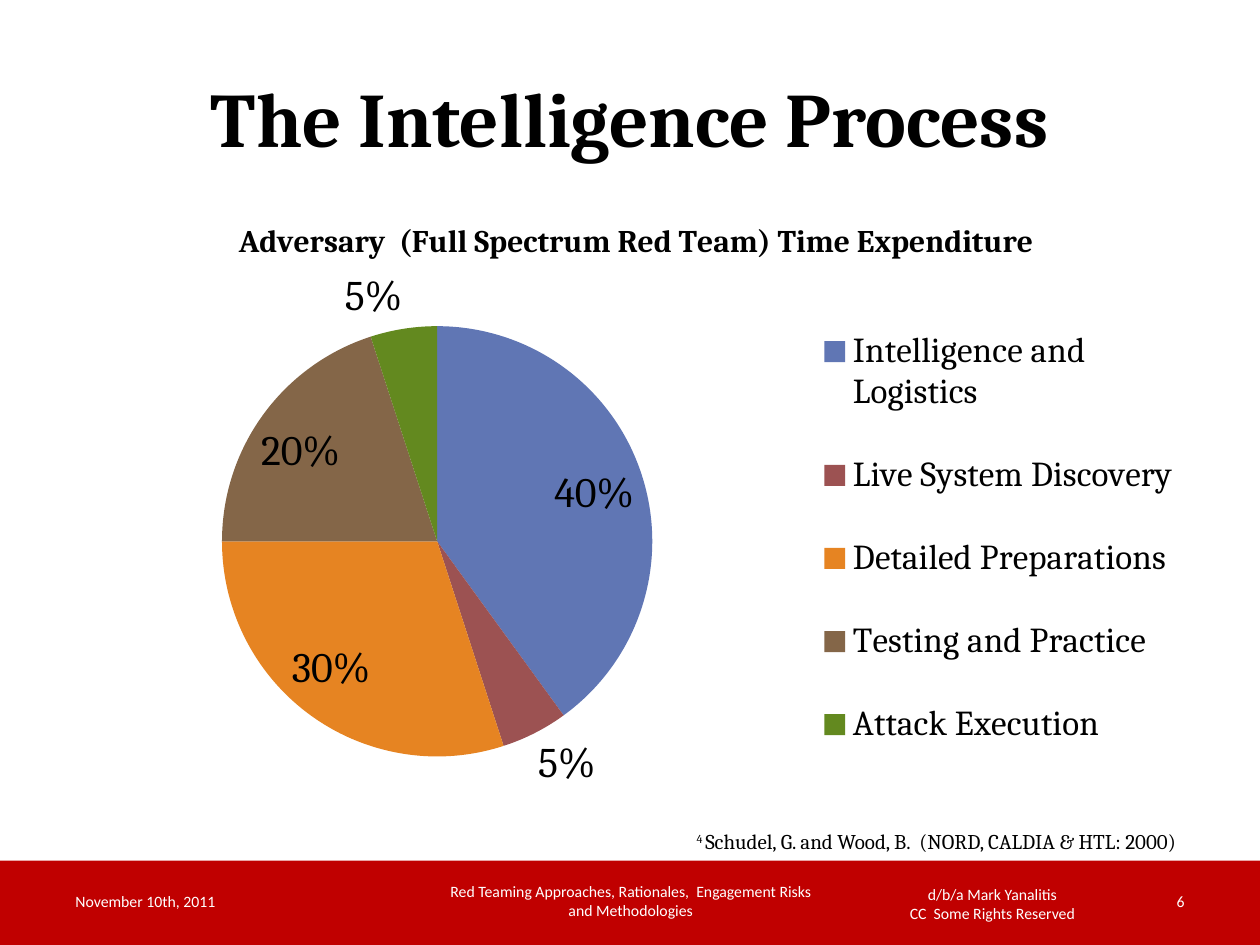
from pptx import Presentation
from pptx.chart.data import CategoryChartData
from pptx.dml.color import RGBColor
from pptx.enum.chart import XL_CHART_TYPE as ChartType
from pptx.enum.chart import XL_LABEL_POSITION as LabelPosition
from pptx.enum.chart import XL_LEGEND_POSITION as LegendPosition
from pptx.enum.shapes import MSO_SHAPE as Shape
from pptx.enum.text import MSO_ANCHOR as Anchor
from pptx.enum.text import PP_ALIGN as Align
from pptx.oxml import parse_xml
from pptx.oxml.ns import nsdecls
from pptx.util import Inches, Pt

BLACK = RGBColor(0x00, 0x00, 0x00)
WHITE = RGBColor(0xFF, 0xFF, 0xFF)
RED = RGBColor(0xC0, 0x00, 0x00)
BLUE = RGBColor(0x60, 0x76, 0xB4)
MAROON = RGBColor(0x9C, 0x52, 0x52)
ORANGE = RGBColor(0xE6, 0x84, 0x22)
BROWN = RGBColor(0x84, 0x66, 0x48)
GREEN = RGBColor(0x63, 0x89, 0x1F)

SERIF, SANS = "Cambria", "Calibri"

# Phase, share of time, slice colour
PHASES = [
    ("Intelligence and Logistics", 0.40, BLUE),
    ("Live System Discovery", 0.05, MAROON),
    ("Detailed Preparations", 0.30, ORANGE),
    ("Testing and Practice", 0.20, BROWN),
    ("Attack Execution", 0.05, GREEN),
]

# Left, top, width, height, alignment, lines
FOOTERS = [
    (6.75, 6.97, 2.25, 0.4, Align.CENTER,
     ["d/b/a Mark Yanalitis", "CC  Some Rights Reserved"]),
    (0.5, 6.95, 2.42, 0.4, Align.LEFT, ["November 10th, 2011"]),
    (3.42, 6.95, 3.17, 0.4, Align.CENTER,
     ["Red Teaming Approaches, Rationales,  Engagement Risks and Methodologies"]),
    (9.08, 6.95, 0.42, 0.4, Align.RIGHT, ["6"]),
]


def style_font(font, color=BLACK, **values):
    for name, value in values.items():
        setattr(font, name, value)
    font.color.rgb = color


def add_text(page, place, lines, align=Align.LEFT, anchor=Anchor.MIDDLE,
             wrap=True, **values):
    """Add a text box; each line is a list of (text, baseline) spans."""
    box = page.shapes.add_textbox(*map(Inches, place))
    frame = box.text_frame
    frame.word_wrap = wrap
    frame.vertical_anchor = anchor
    for index, spans in enumerate(lines):
        para = frame.paragraphs[0] if index == 0 else frame.add_paragraph()
        para.alignment = align
        for text, baseline in spans:
            span = para.add_run()
            span.text = text
            style_font(span.font, **values)
            if baseline:
                span.font._element.set("baseline", str(baseline))


def add_band(page):
    band = page.shapes.add_shape(
        Shape.RECTANGLE, *map(Inches, (0, 6.83, 10, 0.67)))
    band.shadow.inherit = False
    band.fill.solid()
    band.fill.fore_color.rgb = RED
    band.line.fill.background()


def set_layout(element, inner=False, **fractions):
    """Place a chart part by fractions of the chart's size."""
    for old in element.findall("{*}layout"):
        element.remove(old)
    target = '<c:layoutTarget val="inner"/>' if inner else ""
    modes = '<c:xMode val="edge"/><c:yMode val="edge"/>'
    sizes = "".join(f'<c:{name} val="{value}"/>'
                    for name, value in fractions.items())
    layout = parse_xml(
        f'<c:layout {nsdecls("c")}><c:manualLayout>{target}{modes}{sizes}'
        "</c:manualLayout></c:layout>")
    before = element.find("{*}overlay")
    if before is None:
        element.insert(0, layout)
    else:
        before.addprevious(layout)


def add_pie(page):
    data = CategoryChartData(number_format="0%")
    data.categories = [name for name, _, _ in PHASES]
    data.add_series("Series 1", [share for _, share, _ in PHASES])
    chart = page.shapes.add_chart(
        ChartType.PIE, *map(Inches, (0.5, 1.5, 9, 4.95)), data).chart
    style_font(chart.font, name=SANS, size=Pt(10))

    # Title
    chart.has_title = True
    title = chart.chart_title
    title.include_in_layout = False
    span = title.text_frame.paragraphs[0].add_run()
    span.text = "Adversary  (Full Spectrum Red Team) Time Expenditure"
    style_font(span.font, name=SERIF, size=Pt(18), bold=True)
    set_layout(title._element, x=0.15, y=0.04)

    # Legend
    chart.has_legend = True
    legend = chart.legend
    legend.position = LegendPosition.RIGHT
    legend.include_in_layout = False
    style_font(legend.font, name=SERIF, size=Pt(20))
    set_layout(legend._element, x=0.66, y=0.16, w=0.33, h=0.8)

    # Slices and their labels
    plot = chart.plots[0]
    plot.vary_by_categories = True
    set_layout(plot._element.getparent(), inner=True,
               x=0.14, y=0.22, w=0.38, h=0.69)
    for index, (_, _, color) in enumerate(PHASES):
        fill = plot.series[0].points[index].format.fill
        fill.solid()
        fill.fore_color.rgb = color
    plot.has_data_labels = True
    labels = plot.data_labels
    label_format = {
        "show_value": True,
        "show_percentage": False,
        "number_format": "0%",
        "number_format_is_linked": False,
        "position": LabelPosition.BEST_FIT,
    }
    for name, value in label_format.items():
        setattr(labels, name, value)
    style_font(labels.font, name=SERIF, size=Pt(24))


def main():
    deck = Presentation()
    deck.slide_width, deck.slide_height = Inches(10), Inches(7.5)
    page = deck.slides.add_slide(deck.slide_layouts[6])

    # Footer band
    add_band(page)
    for *place, align, lines in FOOTERS:
        add_text(page, place, [[(line, 0)] for line in lines], align,
                 name=SANS, size=Pt(9), color=WHITE)

    # Heading, chart and source note
    add_text(page, (0.5, 0.3, 9, 1.25), [[("The Intelligence Process", 0)]],
             Align.CENTER, name=SERIF, size=Pt(44), bold=True)
    add_pie(page)
    note = [("4 ", 30000),
            ("Schudel, G. and Wood, B.  (NORD, CALDIA & HTL: 2000)", 0)]
    add_text(page, (5.43, 6.53, 4.81, 0.3), [note], anchor=Anchor.TOP,
             wrap=False, name=SERIF, size=Pt(12))

    deck.save("out.pptx")


if __name__ == "__main__":
    main()
